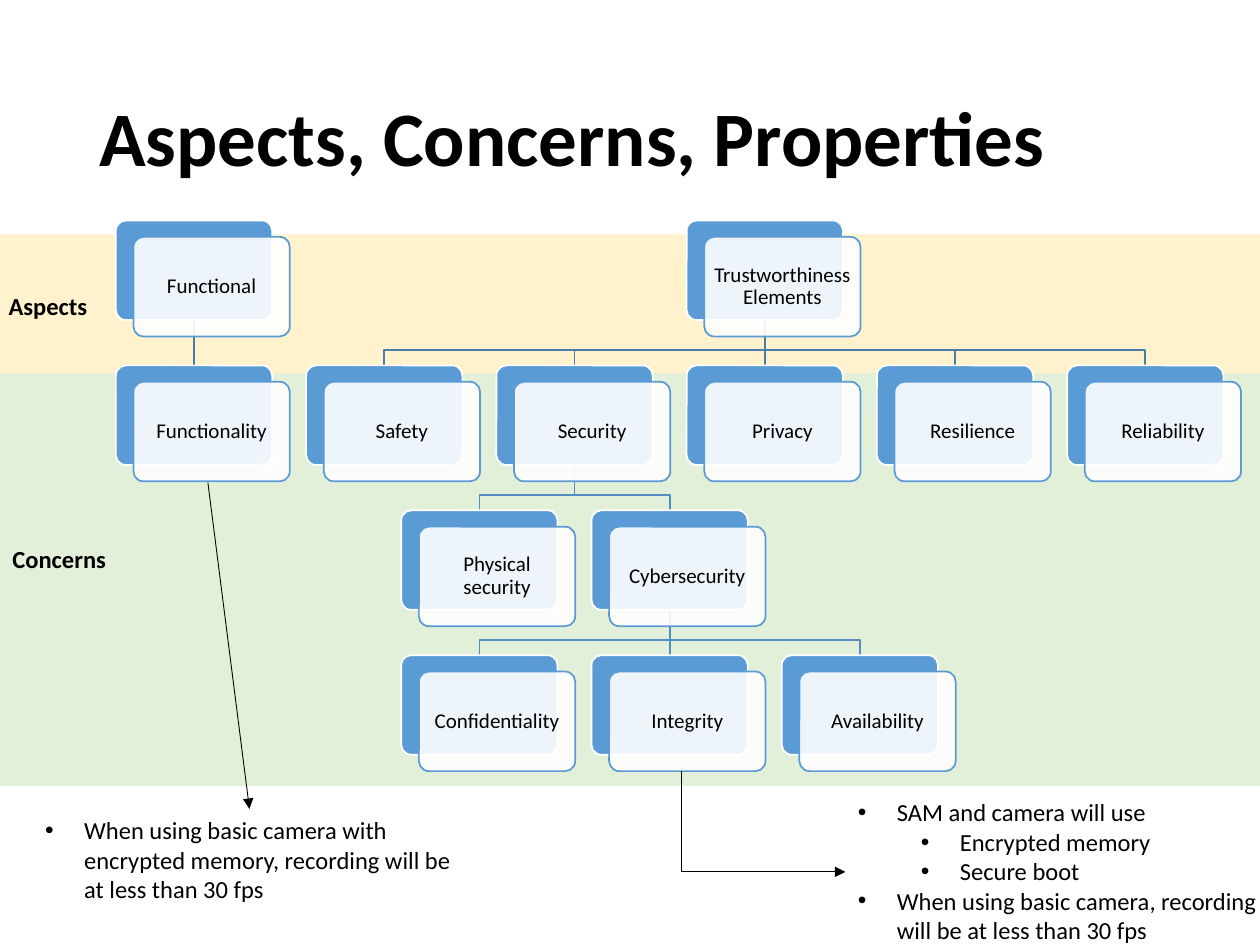
from dataclasses import dataclass

from lxml import etree
from pptx import Presentation
from pptx.dml.color import RGBColor
from pptx.enum.shapes import MSO_CONNECTOR, MSO_SHAPE
from pptx.enum.text import MSO_ANCHOR, PP_ALIGN
from pptx.oxml.ns import qn
from pptx.util import Inches, Pt

STRAIGHT, ELBOW = MSO_CONNECTOR.STRAIGHT, MSO_CONNECTOR.ELBOW
RECT, ROUNDED = MSO_SHAPE.RECTANGLE, MSO_SHAPE.ROUNDED_RECTANGLE
MIDDLE, TOP = MSO_ANCHOR.MIDDLE, MSO_ANCHOR.TOP
CENTER, LEFT = PP_ALIGN.CENTER, PP_ALIGN.LEFT


@dataclass(frozen=True)
class Theme:
    """Colours, font and type sizes of the slide."""
    font: str = "Calibri"
    ink: str = "000000"
    paper: str = "FFFFFF"
    accent: str = "5B9BD5"
    aspect_band: str = "FFF2CC"
    concern_band: str = "E2F0D9"
    upper_link: str = "497CAB"
    lower_link: str = "538DC1"
    title: int = 44
    body: int = 14
    card: int = 12


T = Theme()
CARD_W, CARD_H = 1.24, 0.79
COL_STEP, ROW_STEP = 1.51, 1.15
CARD_SHIFT_X, CARD_SHIFT_Y = 0.14, 0.13
ELBOW_DROP = 0.24

NODES = {
    "Functional": (0, 0, None),
    "Functionality": (0, 1, "Functional"),
    "Trustworthiness Elements": (3, 0, None),
    "Safety": (1, 1, "Trustworthiness Elements"),
    "Security": (2, 1, "Trustworthiness Elements"),
    "Physical security": (1.5, 2, "Security"),
    "Cybersecurity": (2.5, 2, "Security"),
    "Confidentiality": (1.5, 3, "Cybersecurity"),
    "Integrity": (2.5, 3, "Cybersecurity"),
    "Availability": (3.5, 3, "Cybersecurity"),
    "Privacy": (3, 1, "Trustworthiness Elements"),
    "Resilience": (4, 1, "Trustworthiness Elements"),
    "Reliability": (5, 1, "Trustworthiness Elements"),
}


def box(*lengths):
    """Turn numbers into inch lengths."""
    return [Inches(n) for n in lengths]


def rgb(colour):
    """Return the colour object of a hex string."""
    return RGBColor.from_string(colour)


def add_run(p, text, size, bold=False):
    """Add one run in the theme font."""
    r = p.add_run()
    r.text = text
    r.font.name, r.font.size, r.font.bold = T.font, Pt(size), bold
    r.font.color.rgb = rgb(T.ink)


def add_block(s, at, fill, kind=RECT, line=None):
    """Add a filled shape, outlined when a line colour is given."""
    sp = s.shapes.add_shape(kind, *box(*at))
    sp.shadow.inherit = False
    sp.fill.solid()
    sp.fill.fore_color.rgb = rgb(fill)
    if line:
        sp.line.color.rgb = rgb(line)
        sp.line.width = Pt(1)
    else:
        sp.line.fill.background()
    return sp


def add_label(s, at, text, size, wrap=True, anchor=TOP, spacing=1.0):
    """Add a bold one-line text box."""
    tf = s.shapes.add_textbox(*box(*at)).text_frame
    tf.word_wrap, tf.vertical_anchor = wrap, anchor
    p = tf.paragraphs[0]
    p.alignment, p.line_spacing = LEFT, spacing
    add_run(p, text, size, bold=True)


def add_line(s, kind, ends, colour, width):
    """Add a connector without a shadow."""
    c = s.shapes.add_connector(kind, *box(*ends))
    c.line.color.rgb, c.line.width = rgb(colour), Pt(width)
    etree.SubElement(c._element.spPr, qn("a:effectLst"))
    return c


def add_arrow(s, kind, ends):
    """Add a thin arrow; an elbow goes down first, then across."""
    c = add_line(s, kind, ends, T.ink, 0.5)
    etree.SubElement(c.line._get_or_add_ln(), qn("a:tailEnd"), type="triangle")
    if kind == ELBOW:
        guides = c._element.spPr.find(qn("a:prstGeom")).get_or_add_avLst()
        etree.SubElement(guides, qn("a:gd"), name="adj1", fmla="val 0")


def add_link(s, start, end, colour):
    """Join a parent card to a child card."""
    (x1, y1), (x2, y2) = start, end
    if x1 == x2:
        add_line(s, STRAIGHT, (x1, y1, x2, y2), colour, 1)
        return
    turn = y1 + ELBOW_DROP
    fb = s.shapes.build_freeform(*box(x1, y1))
    fb.add_line_segments([box(x1, turn), box(x2, turn), box(x2, y2)], close=False)
    sp = fb.convert_to_shape()
    sp.shadow.inherit = False
    sp.fill.background()
    sp.line.color.rgb, sp.line.width = rgb(colour), Pt(1)


def add_card(s, x, y, text):
    """Add a blue card with a translucent labelled card over it."""
    add_block(s, (x, y, CARD_W, CARD_H), T.accent, ROUNDED, T.paper).adjustments[0] = 0.1
    at = (x + CARD_SHIFT_X, y + CARD_SHIFT_Y, CARD_W, CARD_H)
    sp = add_block(s, at, T.paper, ROUNDED, T.accent)
    sp.adjustments[0] = 0.1
    colour = sp._element.spPr.find(qn("a:solidFill"))[0]
    etree.SubElement(colour, qn("a:alpha"), val="90000")
    tf = sp.text_frame
    tf.word_wrap, tf.vertical_anchor = True, MIDDLE
    tf.margin_left = tf.margin_right = tf.margin_top = tf.margin_bottom = Inches(0.05)
    p = tf.paragraphs[0]
    p.alignment, p.line_spacing = CENTER, 0.9
    add_run(p, text, T.card)


def add_tree(s, left, top):
    """Place the links, then the cards, on a grid of columns and rows."""
    spots = {name: (left + col * COL_STEP, top + row * ROW_STEP)
             for name, (col, row, _) in NODES.items()}
    for name, (_, row, parent) in NODES.items():
        if parent:
            px, py = spots[parent]
            x, y = spots[name]
            colour = T.upper_link if row == 1 else T.lower_link
            add_link(s, (px + CARD_W / 2, py + CARD_H), (x + CARD_W / 2, y), colour)
    for name, (x, y) in spots.items():
        add_card(s, x, y, name)


def add_bullets(s, at, items):
    """Add a bulleted text box from (level, text) pairs."""
    tf = s.shapes.add_textbox(*box(*at)).text_frame
    tf.word_wrap = True
    for i, (level, text) in enumerate(items):
        p = tf.add_paragraph() if i else tf.paragraphs[0]
        p.level = level
        pPr = p._p.get_or_add_pPr()
        pPr.set("marL", str(Inches(0.31 + 0.5 * level)))
        pPr.set("indent", str(Inches(-0.31)))
        etree.SubElement(pPr, qn("a:buFont"), typeface="Arial")
        etree.SubElement(pPr, qn("a:buChar"), char="•")
        add_run(p, text, T.body)


def main():
    """Build and save the slide."""
    prs = Presentation()
    prs.slide_width, prs.slide_height = box(10, 7.5)
    s = prs.slides.add_slide(prs.slide_layouts[6])
    add_block(s, (0, 2.95, 10, 3.29), T.concern_band)
    add_block(s, (0, 1.86, 10, 1.1), T.aspect_band)
    add_tree(s, 0.92, 1.75)
    add_label(s, (-0.03, 2.26, 0.83, 0.34), "Aspects", T.body, wrap=False)
    add_label(s, (0, 4.27, 0.95, 0.34), "Concerns", T.body, wrap=False)
    add_label(s, (0.69, 0.4, 8.62, 1.45), "Aspects, Concerns, Properties",
              T.title, anchor=MIDDLE, spacing=0.9)
    add_bullets(s, (0.26, 6.42, 3.43, 0.81), [
        (0, "When using basic camera with encrypted memory, recording will be at less than 30 fps"),
    ])
    add_bullets(s, (6.71, 6.28, 3.43, 1.28), [
        (0, "SAM and camera will use"),
        (1, "Encrypted memory"),
        (1, "Secure boot"),
        (0, "When using basic camera, recording will be at less than 30 fps"),
    ])
    add_arrow(s, STRAIGHT, (1.65, 3.83, 1.98, 6.42))
    add_arrow(s, ELBOW, (5.41, 6.12, 6.71, 6.92))
    prs.save("out.pptx")


if __name__ == "__main__":
    main()
